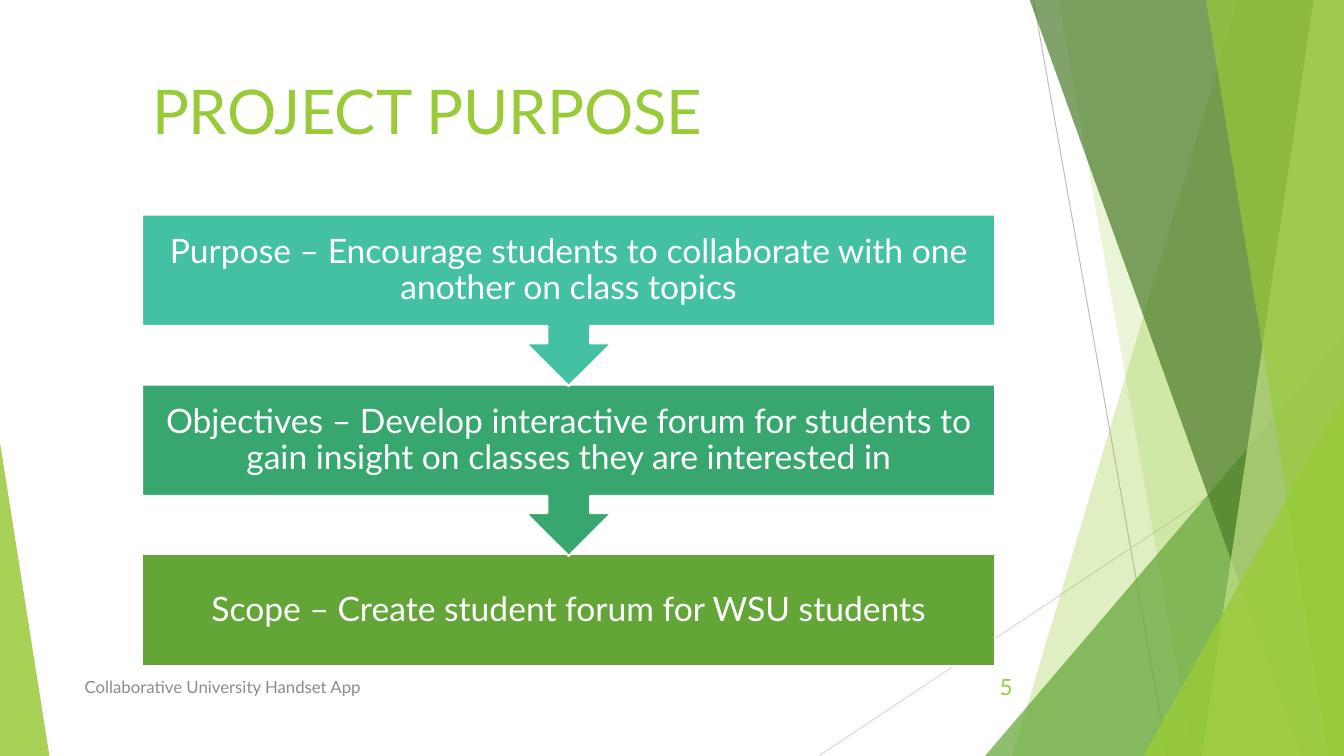
from lxml.etree import SubElement as Sub
from pptx import Presentation
from pptx.dml.color import RGBColor as RGB
from pptx.enum.shapes import MSO_CONNECTOR as Conn, MSO_SHAPE as Kind
from pptx.enum.text import MSO_ANCHOR as Anchor, PP_ALIGN as Align
from pptx.oxml.ns import qn
from pptx.util import Inches, Pt

WHITE = RGB(0xFF, 0xFF, 0xFF)
LIME = RGB(0x99, 0xCB, 0x38)
PALE = RGB(0xC2, 0xE0, 0x88)
GREEN = RGB(0x63, 0xA5, 0x37)
DARK = RGB(0x4A, 0x7C, 0x29)
JADE = RGB(0x37, 0xA7, 0x6F)
TEAL = RGB(0x44, 0xC1, 0xA3)
GREY = RGB(0x8C, 0x8C, 0x8C)
SILVER = RGB(0xBF, 0xBF, 0xBF)
MIST = RGB(0xD9, 0xD9, 0xD9)

WIDE, HIGH = 13.33, 7.5
FONT = "Lato"
STEPS = [
    ("Purpose – Encourage students to collaborate with one another on class topics", TEAL),
    ("Objectives – Develop interactive forum for students to gain insight "
     "on classes they are interested in", JADE),
    ("Scope – Create student forum for WSU students", GREEN),
]


def apply(item, form):
    for key, value in form.items():
        setattr(item, key, value)


def inch(box):
    return [Inches(v) for v in box]


def paint(shape, color, alpha=100, edge=None):
    shape.shadow.inherit = False
    shape.fill.solid()
    shape.fill.fore_color.rgb = color
    if alpha < 100:
        tone = shape.fill._xPr.find(qn("a:solidFill"))[0]
        Sub(tone, qn("a:alpha"), val=str(alpha * 1000))
    if edge is None:
        shape.line.fill.background()
    else:
        shape.line.color.rgb = edge
        shape.line.width = Pt(1.5)


def write(slide, box, text, size, color, frame=None, para=None):
    body = slide.shapes.add_textbox(*inch(box)).text_frame
    apply(body, {"word_wrap": True, "vertical_anchor": Anchor.MIDDLE, **(frame or {})})
    line = body.paragraphs[0]
    apply(line, para or {})
    run = line.add_run()
    run.text = text
    apply(run.font, {"name": FONT, "size": Pt(size)})
    run.font.color.rgb = color


def ray(slide, start, end, color):
    line = slide.shapes.add_connector(Conn.STRAIGHT, *inch(start + end))
    line.line.color.rgb = color
    line.line.width = Pt(0.75)
    Sub(line._element.spPr, qn("a:effectLst"))


def band(slide, box, head, foot, color, alpha):
    left, top, width, height = box
    right, base = left + width, top + height
    pen = slide.shapes.build_freeform(*inch((left + head, top)))
    pen.add_line_segments([inch(p) for p in ((right, top), (right, base), (left + foot, base))])
    paint(pen.convert_to_shape(), color, alpha)


def wedge(slide, box, tip, color, alpha):
    shape = slide.shapes.add_shape(Kind.ISOSCELES_TRIANGLE, *inch(box))
    shape.adjustments[0] = tip
    paint(shape, color, alpha)


def decor(slide, box):
    left, top, width, height = box
    right, base = left + width, top + height

    def strip(wide, head, foot, color, alpha):
        band(slide, (right - wide, top - 0.01, wide, height + 0.01), head, foot, color, alpha)

    def peak(wide, high, color, alpha):
        wedge(slide, (right - wide, base - high, wide, high), 1, color, alpha)

    ray(slide, (right - 3.08, top), (right - 1.75, base), SILVER)
    ray(slide, (right, top + 4.03), (right - 5.21, base), MIST)
    strip(3.29, 2.24, 0, LIME, 30)
    strip(2.83, 0, 1.33, LIME, 20)
    peak(3.56, 4.17, GREEN, 72)
    strip(3.12, 0, 2.7, DARK, 70)
    strip(1.41, 1.11, 0, PALE, 70)
    strip(1.37, 0, 1.22, LIME, 65)
    peak(1.99, 3.57, LIME, 80)
    wedge(slide, (left, base - 3.11, 0.49, 3.11), 0, LIME, 85)


def flow(slide, box):
    left, top, width, height = box
    block, call = 1.11, 1.7
    last = len(STEPS) - 1
    pitch = (height - block) / last
    sides = ("left", "right", "top", "bottom")
    frame = {f"margin_{side}": Inches(0.19) for side in sides}
    para = {"alignment": Align.CENTER, "line_spacing": 0.9}
    for i, (text, color) in reversed(list(enumerate(STEPS))):
        y = top + i * pitch
        kind, tall, turn = (
            (Kind.RECTANGLE, block, 0) if i == last else (Kind.UP_ARROW_CALLOUT, call, 180)
        )
        shape = slide.shapes.add_shape(kind, *inch((left, y, width, tall)))
        shape.rotation = turn
        paint(shape, color, edge=WHITE)
        write(slide, (left, y, width, block), text, 24, WHITE, frame, para)


def footer(slide, box):
    left, top, width, height = box
    write(slide, (left, top, 6.89, height), "Collaborative University Handset App", 12, GREY)
    write(slide, (left + width - 0.75, top, 0.75, height), "5", 16, LIME,
          para={"alignment": Align.RIGHT})


def main():
    deck = Presentation()
    apply(deck, {"slide_width": Inches(WIDE), "slide_height": Inches(HIGH)})
    slide = deck.slides.add_slide(deck.slide_layouts[6])
    decor(slide, (0, 0, WIDE, HIGH))
    write(slide, (1.41, 0.67, 5.97, 1.2), "PROJECT PURPOSE", 44, LIME,
          {"vertical_anchor": Anchor.TOP})
    flow(slide, (1.41, 2.13, 8.46, 4.48))
    footer(slide, (0.74, 6.61, 9.4, 0.4))
    deck.save("out.pptx")


if __name__ == "__main__":
    main()
